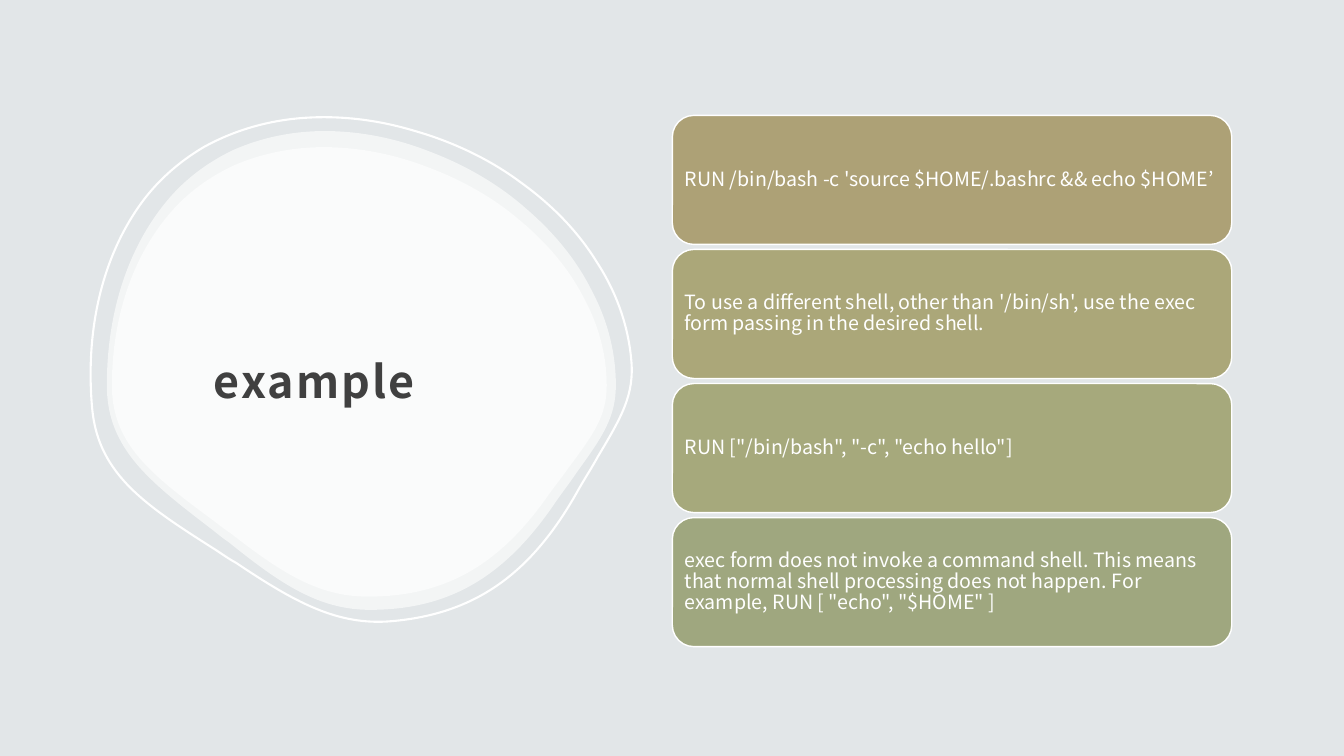
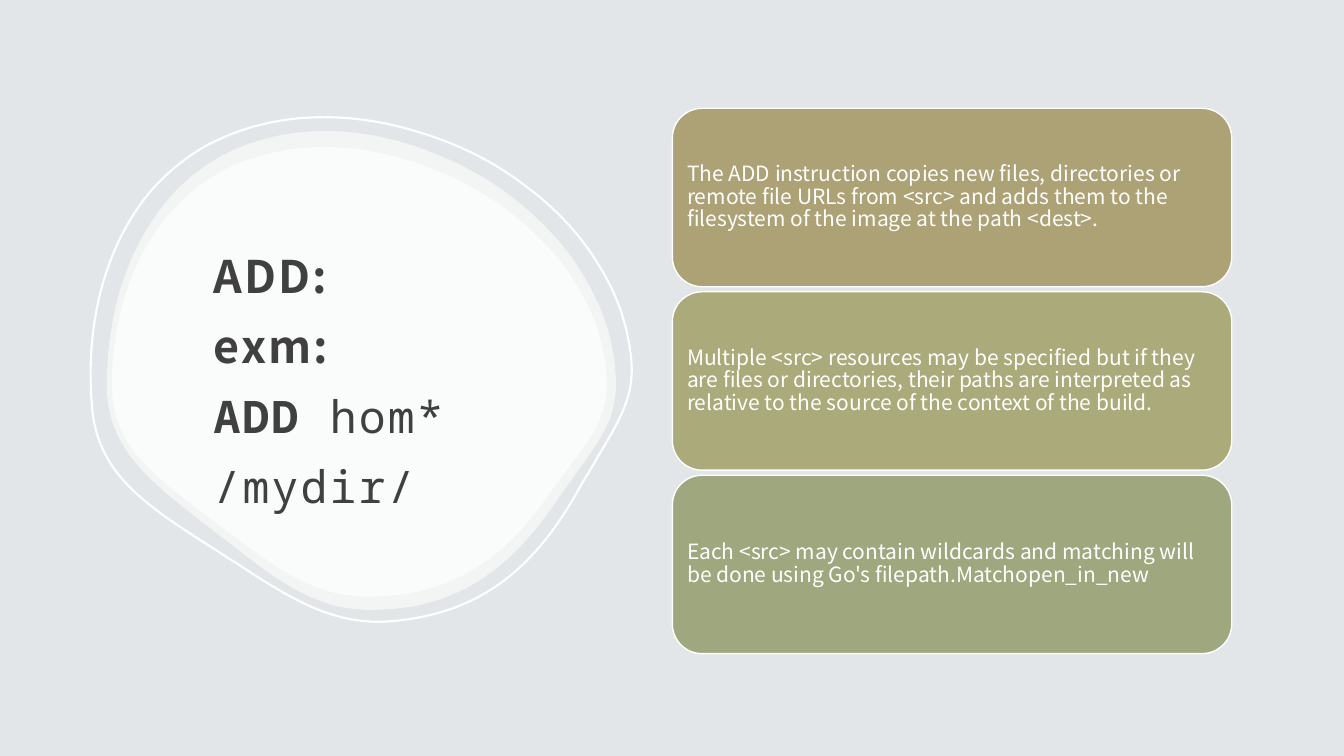
from dataclasses import dataclass

from lxml import etree
from pptx import Presentation
from pptx.dml.color import RGBColor
from pptx.enum import shapes, text
from pptx.oxml.ns import qn
from pptx.util import Inches, Pt

# Shared style
BACKGROUND = RGBColor(0xE2, 0xE6, 0xE8)
WHITE = RGBColor(0xFF, 0xFF, 0xFF)
TITLE_COLOR = RGBColor(0x40, 0x40, 0x40)
SAND = RGBColor(0xAD, 0xA1, 0x76)
KHAKI = RGBColor(0xAB, 0xA7, 0x79)
OLIVE = RGBColor(0xAA, 0xAA, 0x7B)
MOSS = RGBColor(0xA6, 0xA9, 0x7C)
SAGE = RGBColor(0x9F, 0xA7, 0x7F)
SANS = "Noto Sans CJK JP"
MONO = "Noto Sans Mono"

# Card column
CARD_LEFT, CARD_WIDTH, CARD_GAP, CARD_MIDDLE = 6.67, 5.55, 0.05, 3.78

# Blob outline: a start point, then cubic curves of two controls and an end
BLOB_LEFT, BLOB_TOP = 1.06, 1.3
BLOB_START = (3.22, 1.3)
BLOB_CURVES = [
    ((2.89, 1.3), (2.58, 1.37), (2.31, 1.49)),
    ((2.06, 1.61), (1.83, 1.78), (1.65, 2)),
    ((1.27, 2.46), (1.06, 3.1), (1.06, 3.82)),
    ((1.06, 4.1), (1.14, 4.33), (1.32, 4.56)),
    ((1.51, 4.8), (1.8, 5.02), (2.1, 5.25)),
    ((2.15, 5.29), (2.21, 5.34), (2.27, 5.38)),
    ((2.78, 5.79), (3.16, 6.05), (3.67, 6.05)),
    ((4.45, 6.05), (5.01, 5.73), (5.52, 4.97)),
    ((5.59, 4.87), (5.66, 4.78), (5.72, 4.69)),
    ((5.98, 4.33), (6.11, 4.14), (6.11, 3.82)),
    ((6.11, 3.5), (6.03, 3.18), (5.87, 2.88)),
    ((5.72, 2.58), (5.5, 2.31), (5.22, 2.07)),
    ((4.95, 1.83), (4.62, 1.64), (4.28, 1.51)),
    ((3.93, 1.37), (3.57, 1.3), (3.22, 1.3)),
]


@dataclass(frozen=True)
class Blob:
    left: float
    top: float
    width: float
    height: float
    filled: bool = True
    rotation: float = 0


@dataclass(frozen=True)
class TitleRun:
    words: str
    font: str = SANS
    bold: bool = True
    breaks_line: bool = False


@dataclass(frozen=True)
class Card:
    words: str
    color: RGBColor


@dataclass(frozen=True)
class Page:
    title: list[TitleRun]
    cards: list[Card]
    card_height: float
    card_inset: float
    text_size: int


BLOBS = [
    Blob(BLOB_LEFT, BLOB_TOP, 5.05, 4.75),
    Blob(1.11, 1.46, 4.91, 4.46),
    Blob(0.89, 1.13, 5.37, 5.05, filled=False, rotation=355),
]

PAGES = [
    Page(
        [TitleRun("example")],
        [
            Card("RUN /bin/bash -c 'source $HOME/.bashrc && echo $HOME’", SAND),
            Card("To use a different shell, other than '/bin/sh', use the exec "
                 "form passing in the desired shell.", KHAKI),
            Card('RUN ["/bin/bash", "-c", "echo hello"]', MOSS),
            Card("exec form does not invoke a command shell. This means that "
                 "normal shell processing does not happen. For example, "
                 'RUN [ "echo", "$HOME" ]', SAGE),
        ],
        card_height=1.28, card_inset=0.06, text_size=14,
    ),
    Page(
        [
            TitleRun("ADD:", breaks_line=True),
            TitleRun("exm: ", breaks_line=True),
            TitleRun("ADD ", MONO),
            TitleRun("hom* /mydir/", MONO, bold=False),
        ],
        [
            Card("The ADD instruction copies new files, directories or remote "
                 "file URLs from <src> and adds them to the filesystem of the "
                 "image at the path <dest>.", SAND),
            Card("Multiple <src> resources may be specified but if they are "
                 "files or directories, their paths are interpreted as relative "
                 "to the source of the context of the build.", OLIVE),
            Card("Each <src> may contain wildcards and matching will be done "
                 "using Go's filepath.Matchopen_in_new", SAGE),
        ],
        card_height=1.77, card_inset=0.06, text_size=15,
    ),
]


def set_margins(frame, left: float, top: float, right: float, bottom: float) -> None:
    frame.margin_left, frame.margin_top = Inches(left), Inches(top)
    frame.margin_right, frame.margin_bottom = Inches(right), Inches(bottom)
    frame.word_wrap = True
    frame.vertical_anchor = text.MSO_ANCHOR.MIDDLE


def set_font(run, name: str, size: int, color: RGBColor, bold: bool = False) -> None:
    run.font.name = name
    run.font.size = Pt(size)
    run.font.color.rgb = color
    run.font.bold = bold


def bend_segments(shape) -> None:
    """Turn the straight segments of the blob into its cubic curves."""
    segments = list(shape.element.iter(qn("a:lnTo")))
    for segment, (first, second, _) in zip(segments, BLOB_CURVES):
        segment.tag = qn("a:cubicBezTo")
        for index, (x, y) in enumerate((first, second)):
            point = etree.Element(
                qn("a:pt"), x=str(Inches(x - BLOB_LEFT)), y=str(Inches(y - BLOB_TOP)))
            segment.insert(index, point)


def add_blob(slide, blob: Blob) -> None:
    ends = [(Inches(x), Inches(y)) for _, _, (x, y) in BLOB_CURVES]
    builder = slide.shapes.build_freeform(*map(Inches, BLOB_START))
    builder.add_line_segments(ends, close=True)
    shape = builder.convert_to_shape()
    bend_segments(shape)
    shape.left, shape.top = Inches(blob.left), Inches(blob.top)
    shape.width, shape.height = Inches(blob.width), Inches(blob.height)
    shape.rotation = blob.rotation
    shape.shadow.inherit = False
    if blob.filled:
        shape.fill.solid()
        shape.fill.fore_color.rgb = WHITE
        color = shape.element.spPr.find(f"{qn('a:solidFill')}/{qn('a:srgbClr')}")
        etree.SubElement(color, qn("a:alpha"), val="60000")
        shape.line.fill.background()
    else:
        shape.fill.background()
        shape.line.color.rgb = WHITE
        shape.line.width = Pt(1.5)


def add_title(slide, runs: list[TitleRun]) -> None:
    box = slide.shapes.add_textbox(Inches(2), Inches(2.08), Inches(3.62), Inches(3.21))
    set_margins(box.text_frame, 0.12, 0.12, 0.12, 0.1)
    paragraph = box.text_frame.paragraphs[0]
    paragraph.line_spacing = 1.3
    for part in runs:
        run = paragraph.add_run()
        run.text = part.words
        set_font(run, part.font, 32, TITLE_COLOR, part.bold)
        run.font._element.set("spc", "150")
        if part.breaks_line:
            paragraph.add_line_break()


def add_cards(slide, page: Page) -> None:
    pitch = page.card_height + CARD_GAP
    first_top = CARD_MIDDLE - (len(page.cards) * pitch - CARD_GAP) / 2
    for index, card in enumerate(page.cards):
        shape = slide.shapes.add_shape(
            shapes.MSO_SHAPE.ROUNDED_RECTANGLE,
            Inches(CARD_LEFT), Inches(first_top + index * pitch),
            Inches(CARD_WIDTH), Inches(page.card_height))
        shape.shadow.inherit = False
        shape.fill.solid()
        shape.fill.fore_color.rgb = card.color
        shape.line.color.rgb = WHITE
        shape.line.width = Pt(1)
        set_margins(shape.text_frame, *[page.card_inset] * 4)
        paragraph = shape.text_frame.paragraphs[0]
        paragraph.alignment = text.PP_ALIGN.LEFT
        paragraph.line_spacing = 0.9
        run = paragraph.add_run()
        run.text = card.words
        set_font(run, SANS, page.text_size, WHITE)


def main() -> None:
    presentation = Presentation()
    presentation.slide_width = Inches(40 / 3)
    presentation.slide_height = Inches(7.5)
    background = presentation.slide_master.background.fill
    background.solid()
    background.fore_color.rgb = BACKGROUND
    for page in PAGES:
        slide = presentation.slides.add_slide(presentation.slide_layouts[6])
        for blob in BLOBS:
            add_blob(slide, blob)
        add_title(slide, page.title)
        add_cards(slide, page)
    presentation.save("out.pptx")


if __name__ == "__main__":
    main()
